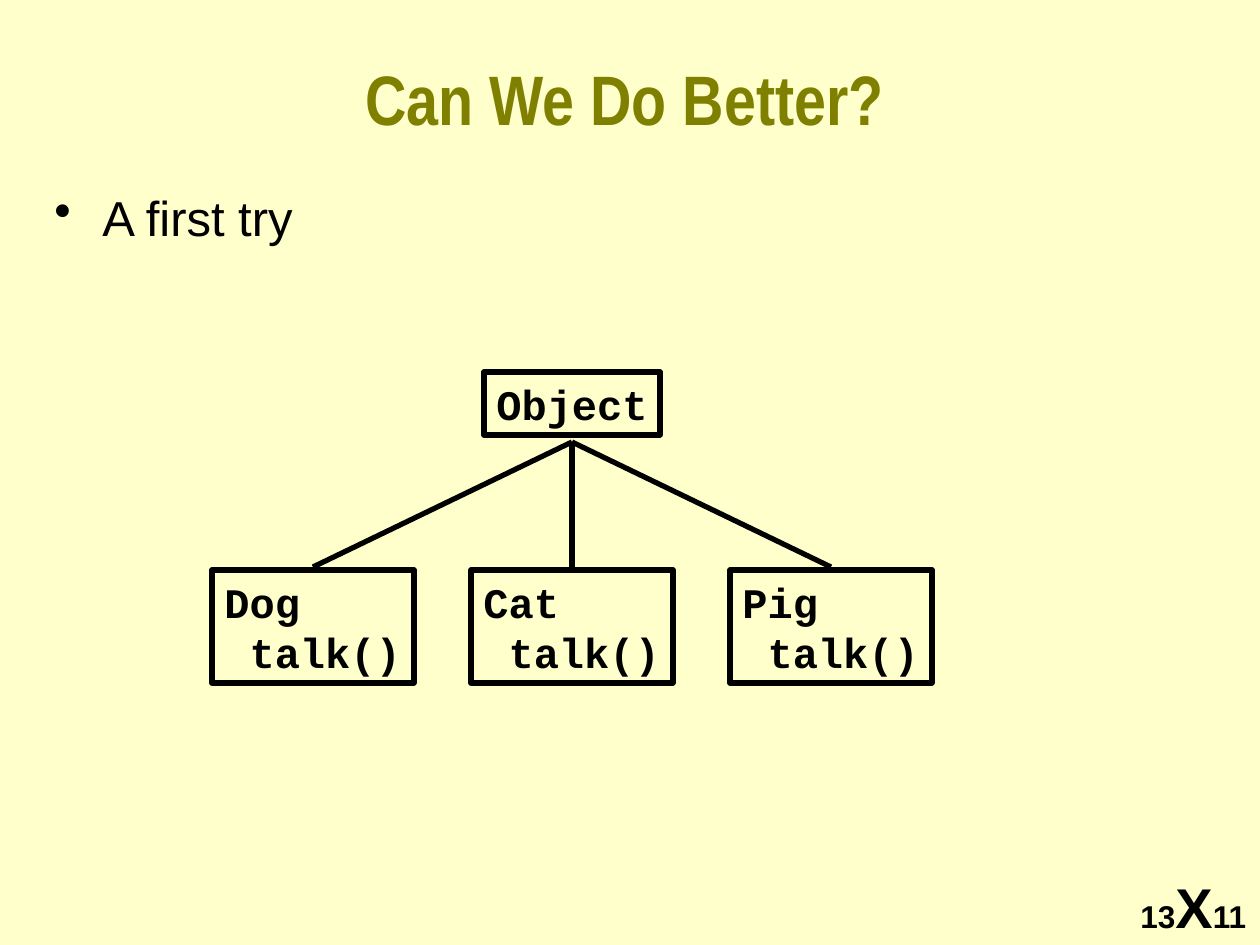
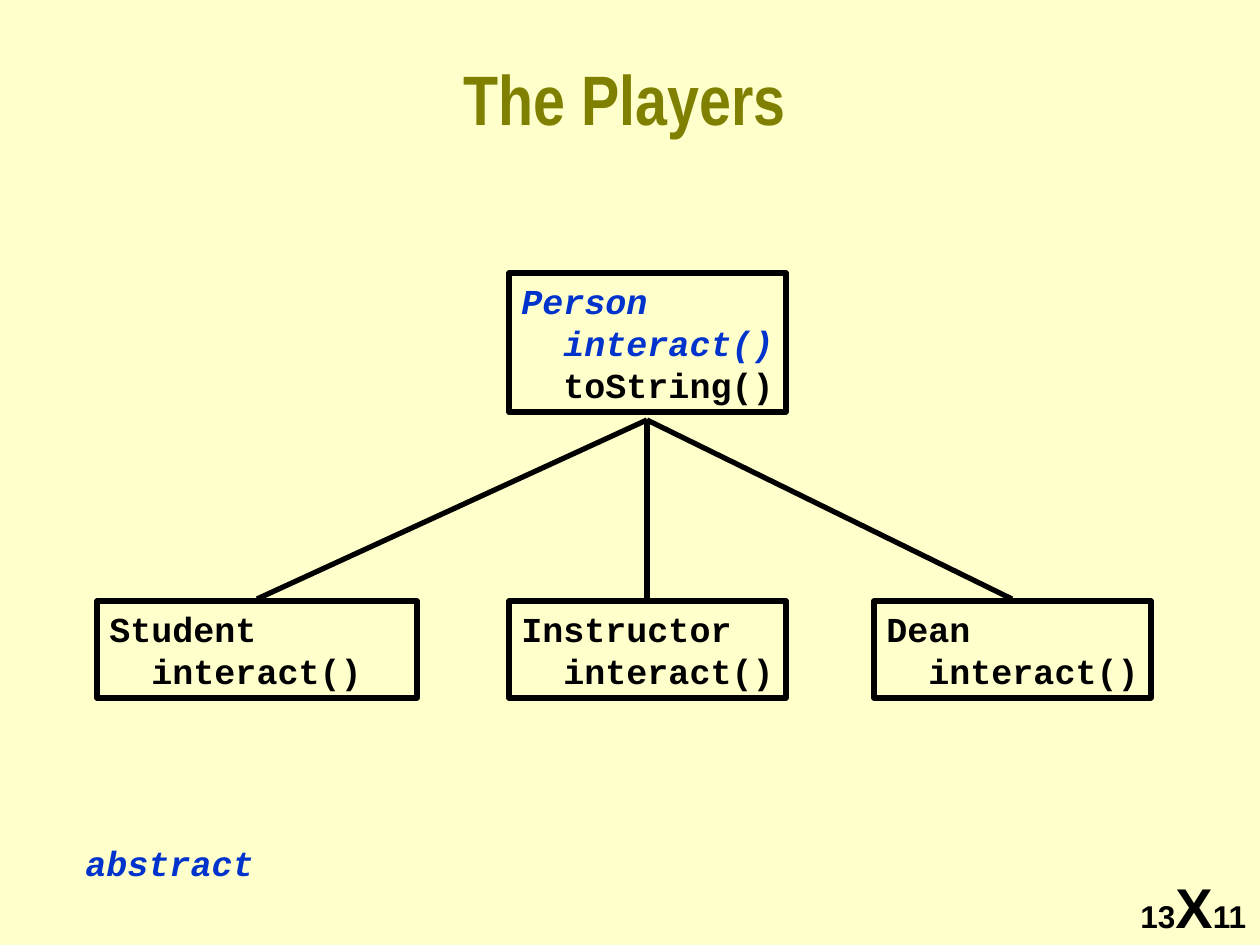
from dataclasses import dataclass

import lxml.etree
import pptx
import pptx.dml.color
import pptx.enum.shapes
import pptx.enum.text
import pptx.oxml.ns
import pptx.util

EMU_PER_PX = 914400 / 126

CREAM = "FFFFCC"
OLIVE = "808000"
BLACK = "000000"
BLUE = "0033CC"

BODY_FONT = "Arial"
TITLE_FONT = "Arial Narrow"
CODE_FONT = "Courier New"
LINE_WIDTH = pptx.util.Pt(3)


@dataclass(frozen=True)
class Box:
    left: int
    top: int
    width: int
    height: int

    @property
    def center(self) -> int:
        return self.left + self.width // 2

    def emu(self) -> tuple:
        return tuple(px(n) for n in (self.left, self.top, self.width, self.height))


@dataclass(frozen=True)
class CodeLine:
    text: str
    abstract: bool = False


@dataclass(frozen=True)
class ClassBox:
    box: Box
    lines: tuple


@dataclass(frozen=True)
class Hierarchy:
    parent: ClassBox
    children: tuple
    line_top: int
    line_bottom: int
    text_size: int


def px(length: int) -> int:
    return round(length * EMU_PER_PX)


def rgb(color: str):
    return pptx.dml.color.RGBColor.from_string(color)


def add_text(paragraph, text: str, *, size: int, font: str = BODY_FONT,
             color: str = BLACK, bold: bool = False, italic: bool = False) -> None:
    run = paragraph.add_run()
    run.text = text
    run.font.size = pptx.util.Pt(size)
    run.font.name = font
    run.font.color.rgb = rgb(color)
    run.font.bold = bold
    run.font.italic = italic


def prepare_frame(shape):
    """Top-anchored, wrapping frame whose text may reach the right edge."""
    frame = shape.text_frame
    frame.word_wrap = True
    frame.margin_right = 0
    frame.vertical_anchor = pptx.enum.text.MSO_ANCHOR.TOP
    return frame


def add_text_box(slide, box: Box):
    """Add a text box and return its first paragraph."""
    return prepare_frame(slide.shapes.add_textbox(*box.emu())).paragraphs[0]


def add_code_line(paragraph, line: CodeLine, size: int) -> None:
    paragraph.alignment = pptx.enum.text.PP_ALIGN.LEFT
    add_text(paragraph, line.text, size=size, font=CODE_FONT, bold=True,
             color=BLUE if line.abstract else BLACK, italic=line.abstract)


def add_class_box(slide, class_box: ClassBox, size: int) -> None:
    shape = slide.shapes.add_shape(
        pptx.enum.shapes.MSO_SHAPE.RECTANGLE, *class_box.box.emu())
    shape.shadow.inherit = False
    shape.fill.background()
    shape.line.color.rgb = rgb(BLACK)
    shape.line.width = LINE_WIDTH
    frame = prepare_frame(shape)
    for index, line in enumerate(class_box.lines):
        paragraph = frame.add_paragraph() if index else frame.paragraphs[0]
        add_code_line(paragraph, line, size)


def add_line(slide, x1: int, y1: int, x2: int, y2: int) -> None:
    connector = slide.shapes.add_connector(
        pptx.enum.shapes.MSO_CONNECTOR.STRAIGHT, px(x1), px(y1), px(x2), px(y2))
    connector.line.color.rgb = rgb(BLACK)
    connector.line.width = LINE_WIDTH
    lxml.etree.SubElement(connector._element.spPr, pptx.oxml.ns.qn("a:effectLst"))


def add_hierarchy(slide, tree: Hierarchy) -> None:
    for class_box in (tree.parent, *tree.children):
        add_class_box(slide, class_box, tree.text_size)
    for child in tree.children:
        add_line(slide, tree.parent.box.center, tree.line_top,
                 child.box.center, tree.line_bottom)


def add_bullet(slide, box: Box, text: str) -> None:
    paragraph = add_text_box(slide, box)
    properties = paragraph._p.get_or_add_pPr()
    properties.set("marL", str(px(48)))
    properties.set("indent", str(-px(48)))
    bullet = lxml.etree.SubElement(properties, pptx.oxml.ns.qn("a:buChar"))
    bullet.set("char", "•")
    add_text(paragraph, text, size=28)


def add_page_mark(slide) -> None:
    paragraph = add_text_box(slide, Box(1128, 866, 132, 79))
    for text, size in (("13", 18), ("X", 32), ("11", 18)):
        add_text(paragraph, text, size=size, bold=True)


def add_slide(presentation, title: str):
    """Add a slide with the shared title style and page mark."""
    slide = presentation.slides.add_slide(presentation.slide_layouts[5])
    add_page_mark(slide)
    shape = slide.shapes.title
    shape.left, shape.top, shape.width, shape.height = Box(42, 42, 1165, 110).emu()
    frame = shape.text_frame
    frame.auto_size = pptx.enum.text.MSO_AUTO_SIZE.NONE
    frame.vertical_anchor = pptx.enum.text.MSO_ANCHOR.MIDDLE
    paragraph = frame.paragraphs[0]
    paragraph.alignment = pptx.enum.text.PP_ALIGN.CENTER
    add_text(paragraph, title, size=40, font=TITLE_FONT, color=OLIVE, bold=True)
    return slide


def build_first_try(presentation) -> None:
    slide = add_slide(presentation, "Can We Do Better?")
    add_bullet(slide, Box(42, 181, 582, 111), "A first try")
    animals = tuple(
        ClassBox(Box(212 + 259 * column, 570, 202, 113),
                 (CodeLine(name), CodeLine(" talk()")))
        for column, name in enumerate(("Dog", "Cat", "Pig")))
    root = ClassBox(Box(484, 372, 176, 63), (CodeLine("Object"),))
    add_hierarchy(slide, Hierarchy(root, animals, 442, 567, 24))


def build_players(presentation) -> None:
    slide = add_slide(presentation, "The Players")
    person = ClassBox(Box(509, 273, 277, 139), (
        CodeLine("Person", abstract=True),
        CodeLine("  interact()", abstract=True),
        CodeLine("  toString()")))
    players = tuple(
        ClassBox(Box(left, 601, width, 97),
                 (CodeLine(name), CodeLine("  interact()")))
        for name, left, width in (
            ("Student", 97, 320), ("Instructor", 509, 277), ("Dean", 874, 277)))
    add_hierarchy(slide, Hierarchy(person, players, 420, 599, 20))
    add_code_line(add_text_box(slide, Box(73, 835, 193, 55)),
                  CodeLine("abstract", abstract=True), 20)


def main() -> None:
    presentation = pptx.Presentation()
    presentation.slide_width = px(1260)
    presentation.slide_height = px(945)
    background = presentation.slide_master.background.fill
    background.solid()
    background.fore_color.rgb = rgb(CREAM)
    build_first_try(presentation)
    build_players(presentation)
    presentation.save("out.pptx")


if __name__ == "__main__":
    main()
